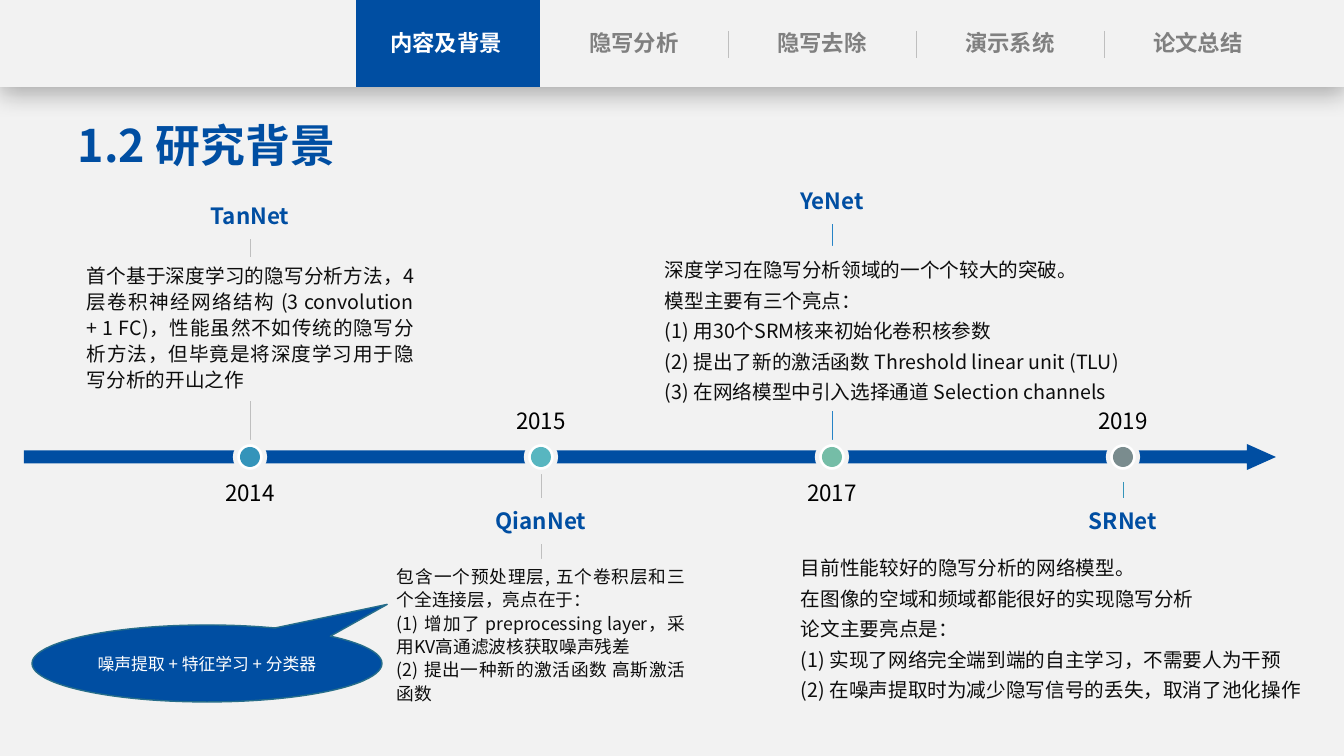
from lxml import etree
from pptx import Presentation
from pptx import util as u
from pptx.dml.color import RGBColor
from pptx.enum import shapes, text
from pptx.oxml import ns

PX = 914400 / 100.8
FONT = "Noto Sans CJK SC"
COLORS = {
    "paper": "F2F2F2", "white": "FFFFFF", "black": "000000", "ink": "0D0D0D",
    "blue": "004EA2", "grey": "808080", "rule": "BFBFBF", "sky": "2683C6",
    "sea": "3494BA", "teal": "58B6C0", "mint": "75BDA7", "slate": "7A8C8E",
    "edge": "266D8A",
}
SHAPE = shapes.MSO_SHAPE
MIDDLE, TOP = text.MSO_ANCHOR.MIDDLE, text.MSO_ANCHOR.TOP
CENTER, JUSTIFY = text.PP_ALIGN.CENTER, text.PP_ALIGN.JUSTIFY


def px(n):
    return u.Emu(round(n * PX))


def rgb(name):
    return RGBColor.from_string(COLORS[name])


class Deck:
    def __init__(self, width, height):
        self.prs = Presentation()
        self.prs.slide_width, self.prs.slide_height = px(width), px(height)
        self.s = self.prs.slides.add_slide(self.prs.slide_layouts[5])
        self.s.background.fill.solid()
        self.s.background.fill.fore_color.rgb = rgb("paper")

    def set_text(self, sp, lines, size, color, bold=False, align=CENTER,
                 anchor=MIDDLE, spacing=None, side=None):
        tf = sp.text_frame
        tf.word_wrap = True
        tf.auto_size = text.MSO_AUTO_SIZE.NONE
        tf.vertical_anchor = anchor
        if side is not None:
            tf.margin_left = tf.margin_right = px(side)
        tf.text = lines
        for p in tf.paragraphs:
            p.alignment = align
            if spacing:
                p.line_spacing = spacing
            for r in p.runs:
                r.font.name, r.font.size, r.font.bold = FONT, u.Pt(size), bold
                r.font.color.rgb = rgb(color)
                ea = etree.SubElement(r.font._element, ns.qn("a:ea"))
                ea.set("typeface", FONT)
        return sp

    def title(self, lines, x, y, w, h):
        sp = self.s.shapes.title
        sp.left, sp.top, sp.width, sp.height = map(px, (x, y, w, h))
        return self.set_text(sp, lines, 32, "blue", True, anchor=TOP, side=0)

    def label(self, lines, x, y, w, h, size, color, **style):
        sp = self.s.shapes.add_textbox(px(x), px(y), px(w), px(h))
        return self.set_text(sp, lines, size, color, **style)

    def shape(self, kind, x, y, w, h, fill, line=None, weight=1, adjust=()):
        sp = self.s.shapes.add_shape(kind, px(x), px(y), px(w), px(h))
        sp.shadow.inherit = False
        sp.fill.solid()
        sp.fill.fore_color.rgb = rgb(fill)
        if line:
            sp.line.color.rgb = rgb(line)
            sp.line.width = u.Pt(weight)
        else:
            sp.line.fill.background()
        for i, value in enumerate(adjust):
            sp.adjustments[i] = value
        return sp

    def line(self, x1, y1, x2, y2, color, weight):
        c = self.s.shapes.add_connector(
            shapes.MSO_CONNECTOR.STRAIGHT, px(x1), px(y1), px(x2), px(y2))
        c.line.color.rgb = rgb(color)
        c.line.width = u.Pt(weight)
        etree.SubElement(c._element.spPr, ns.qn("a:effectLst"))
        return c

    def drop_shadow(self, sp, blur, dist, alpha):
        effects = sp._element.spPr.find(ns.qn("a:effectLst"))
        shadow = etree.SubElement(
            effects, ns.qn("a:outerShdw"), blurRad=str(u.Pt(blur)),
            dist=str(u.Pt(dist)), dir="5400000", algn="t", rotWithShape="0")
        color = etree.SubElement(shadow, ns.qn("a:srgbClr"), val=COLORS["black"])
        etree.SubElement(color, ns.qn("a:alpha"), val=str(alpha * 1000))


TABS = ["内容及背景", "隐写分析", "隐写去除", "演示系统", "论文总结"]

# name, year, dot, year top, name top, body box, size, spacing,
# stem (start, end, colour, weight, end box, side), body text
MILESTONES = [
    ("TanNet", "2014", "sea", 472, 193, (77, 257, 347, 144), 14, 1.1,
     (442, 239, "rule", 0.25, "name", 2),
     ["首个基于深度学习的隐写分析方法，4层卷积神经网络结构 (3 convolution + 1 FC)，"
      "性能虽然不如传统的隐写分析方法，但毕竟是将深度学习用于隐写分析的开山之作"]),
    ("QianNet", "2015", "teal", 400, 498, (387, 559, 308, 165), 12.6, 1.1,
     (472, 724, "rule", 0.25, "body", 2),
     ["包含一个预处理层, 五个卷积层和三个全连接层，亮点在于：",
      "(1) 增加了 preprocessing layer，采用KV高通滤波核获取噪声残差",
      "(2) 提出一种新的激活函数 高斯激活函数"]),
    ("YeNet", "2017", "mint", 472, 178, (655, 246, 517, 165), 14, 1.3,
     (442, 178, "sky", 0.5, "name", 0),
     ["深度学习在隐写分析领域的一个个较大的突破。",
      "模型主要有三个亮点：",
      "(1) 用30个SRM核来初始化卷积核参数",
      "(2) 提出了新的激活函数 Threshold linear unit (TLU)",
      "(3) 在网络模型中引入选择通道 Selection channels"]),
    ("SRNet", "2019", "slate", 400, 498, (791, 544, 528, 181), 14, 1.3,
     (482, 498, "sea", 0.5, "name", 0),
     ["目前性能较好的隐写分析的网络模型。",
      "在图像的空域和频域都能很好的实现隐写分析",
      "论文主要亮点是：",
      "(1) 实现了网络完全端到端的自主学习，不需要人为干预",
      "(2) 在噪声提取时为减少隐写信号的丢失，取消了池化操作"]),
]


def main():
    d = Deck(1344, 756)

    # Navigation bar
    bar = d.shape(SHAPE.RECTANGLE, 0, 0, 1344, 87, "paper")
    d.drop_shadow(bar, blur=18, dist=4, alpha=29)
    d.shape(SHAPE.RECTANGLE, 356, 0, 184, 87, "blue")
    for i, tab in enumerate(TABS):
        d.label(tab, 372 + 188 * i, 24, 148, 38, 16,
                "grey" if i else "white", bold=True, anchor=TOP, side=0)
        if i > 1:
            d.line(352 + 188 * i, 31, 352 + 188 * i, 58, "rule", 0.5)

    d.title("1.2 研究背景", 53, 113, 307, 65)

    # Timeline
    d.shape(SHAPE.RIGHT_ARROW, 24, 444, 1252, 26, "blue", adjust=(0.5, 1.115))
    axis = 457
    for i, (name, year, dot, year_top, name_top, box, size, spacing, stem,
            lines) in enumerate(MILESTONES):
        x = 250 + 291 * i
        start, end, color, weight, target, side = stem
        c = d.line(x, start, x, end, color, weight)
        body = d.shape(SHAPE.RECTANGLE, *box, "paper")
        d.set_text(body, "\n".join(lines), size, "ink", align=JUSTIFY,
                   anchor=TOP, spacing=spacing)
        head = d.shape(SHAPE.RECTANGLE, x - 154, name_top, 308, 46, "paper")
        d.set_text(head, name, 16, "blue", True)
        c.end_connect(head if target == "name" else body, side)
        d.shape(SHAPE.OVAL, x - 15, axis - 15, 30, 30, "white", "paper", 3)
        d.shape(SHAPE.OVAL, x - 10, axis - 10, 20, 20, dot)
        d.label(year, x - 40, year_top, 80, 41, 16, "black")

    # Callout
    callout = d.shape(SHAPE.OVAL_CALLOUT, 32, 625, 350, 77, "blue", "edge", 1,
                      adjust=(0.515, -0.768))
    d.set_text(callout, "噪声提取 + 特征学习 + 分类器", 12, "white")

    d.prs.save("out.pptx")


if __name__ == "__main__":
    main()
